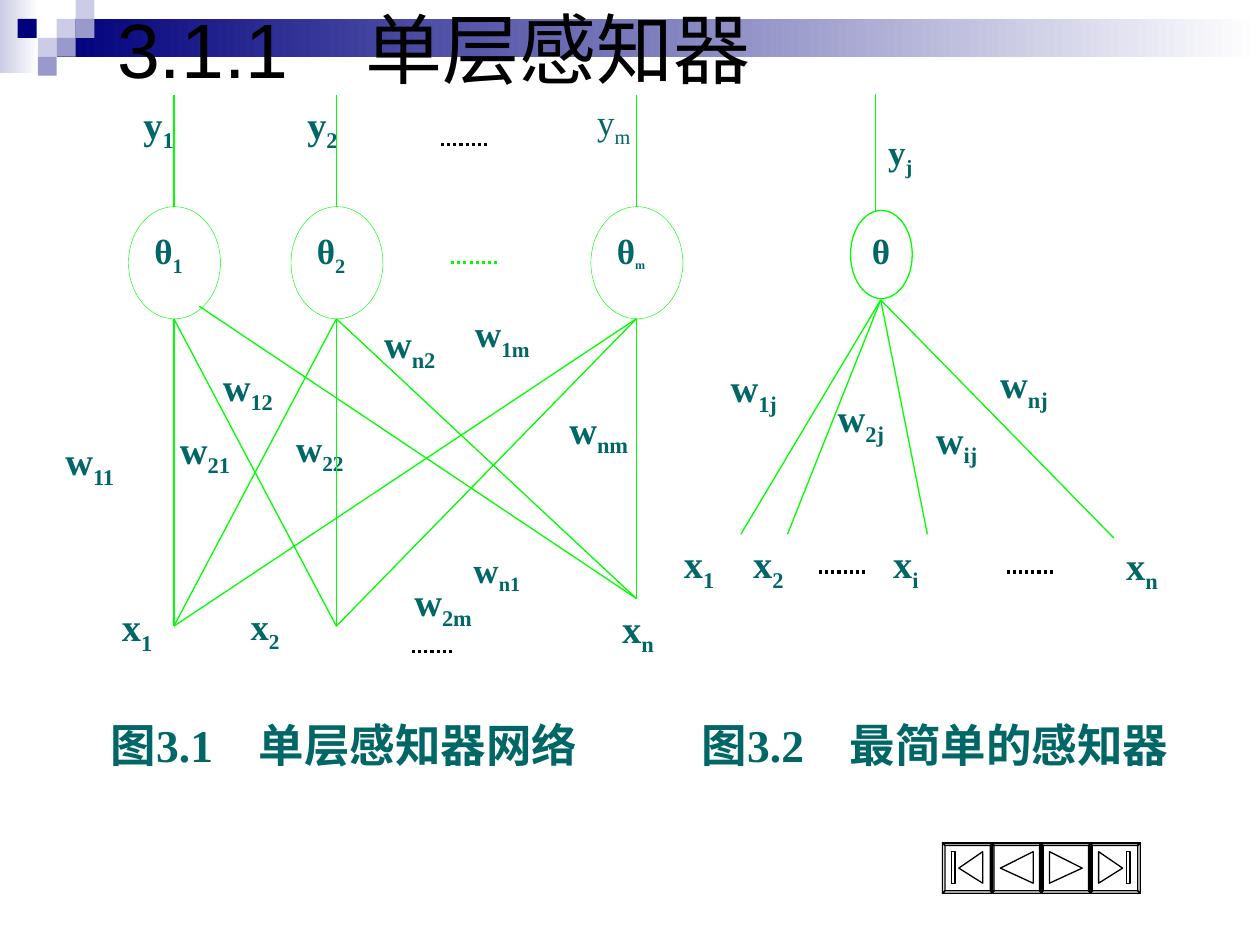
from dataclasses import dataclass
from itertools import product

from lxml.etree import SubElement
from pptx import Presentation
from pptx.dml.color import RGBColor as Rgb
from pptx.enum.dml import MSO_LINE as Dash
from pptx.enum.shapes import MSO_CONNECTOR as Conn, MSO_SHAPE as Kind
from pptx.enum.text import MSO_ANCHOR as Anchor, MSO_AUTO_SIZE as Fit, PP_ALIGN as Align
from pptx.oxml.ns import qn
from pptx.util import Pt

PX = 9144


@dataclass(frozen=True)
class Theme:
    """Colours, fonts and type sizes of the deck."""
    navy: str = "00007D"
    mid: str = "9999CC"
    pale: str = "CCCCE6"
    white: str = "FFFFFF"
    black: str = "000000"
    green: str = "00FF00"
    teal: str = "006666"
    serif: str = "Times New Roman"
    sans: str = "Arial"
    title: int = 44
    head: int = 26
    label: int = 22
    mark: int = 21
    node: int = 20
    tiny: int = 12


T = Theme()


def emu(*nums):
    """Turn px lengths into EMU."""
    return [n * PX for n in nums]


def paint(shape, fill=None, line=None, width=0.75):
    """Set the fill and outline of a shape."""
    shape.shadow.inherit = False
    if fill:
        shape.fill.solid()
        shape.fill.fore_color.rgb = Rgb.from_string(fill)
    else:
        shape.fill.background()
    if line:
        shape.line.color.rgb = Rgb.from_string(line)
        shape.line.width = Pt(width)
    else:
        shape.line.fill.background()
    return shape


def block(slide, box, fill, end=None):
    """Draw a rectangle, fading to a second colour if one is given."""
    shape = paint(slide.shapes.add_shape(Kind.RECTANGLE, *emu(*box)), fill)
    if end:
        shape.fill.gradient()
        shape.fill.gradient_angle = 0
        for stop, tone, pos in zip(shape.fill.gradient_stops, (fill, end), (0, 1)):
            stop.color.rgb = Rgb.from_string(tone)
            stop.position = pos


def write(shape, base, sub="", size=T.label, bold=True, small=None):
    """Put a term with an optional subscript into a shape."""
    frame = shape.text_frame
    frame.word_wrap = True
    frame.vertical_anchor = Anchor.TOP
    para = frame.paragraphs[0]
    para.alignment = Align.JUSTIFY
    font = para.font
    font.name, font.size, font.bold = T.serif, Pt(size), bold
    font.color.rgb = Rgb.from_string(T.teal)
    para.add_run().text = base
    if sub:
        run = para.add_run()
        run.text = sub
        run._r.get_or_add_rPr().set("baseline", "-25000")
        if small:
            run.font.size = Pt(small)


class Figure:
    """A diagram whose parts are placed from its top left corner."""

    def __init__(self, slide, left, top):
        """Keep the slide shapes and the corner."""
        self.shapes, self.left, self.top = slide.shapes, left, top

    def spot(self, x, y):
        """Give the EMU place of a point in the figure."""
        return emu(self.left + x, self.top + y)

    def line(self, start, end, tone=T.green, width=0.75):
        """Join two points."""
        link = self.shapes.add_connector(Conn.STRAIGHT, *self.spot(*start), *self.spot(*end))
        link.line.color.rgb = Rgb.from_string(tone)
        link.line.width = Pt(width)
        SubElement(link._element.spPr, qn("a:effectLst"))
        return link

    def dots(self, x, y, wide=37, tone=T.black):
        """Draw a dotted rule for the terms left out."""
        self.line((x, y), (x + wide, y), tone, 1.75).line.dash_style = Dash.ROUND_DOT

    def label(self, x, y, w, h, base, sub, size=T.label, bold=True):
        """Place a white label."""
        shape = self.shapes.add_shape(Kind.RECTANGLE, *self.spot(x, y), *emu(w, h))
        write(paint(shape, T.white), base, sub, size, bold)

    def node(self, x, y, w, h, sub="", width=0.75, small=None):
        """Place a neuron with its threshold."""
        shape = self.shapes.add_shape(Kind.OVAL, *self.spot(x, y), *emu(w, h))
        write(paint(shape, None, T.green, width), "θ", sub, T.node, True, small)

    def caption(self, x, y, w, h, text):
        """Place the figure caption."""
        write(self.shapes.add_textbox(*self.spot(x, y), *emu(w, h)), text, size=T.head)


def network(slide, left, top):
    """Draw the layer of neurons with all its weights."""
    fig = Figure(slide, left, top)
    for item in (
        (255, 174, 67, 42, "w", "n2"), (93, 258, 65, 67, "w", "21"),
        (185, 258, 61, 52, "w", "22", T.mark), (402, 242, 72, 42, "w", "nm"),
        (127, 208, 67, 50, "w", "12"), (2, 267, 67, 42, "w", "11"),
        (327, 167, 70, 46, "w", "1m", T.mark), (279, 379, 75, 51, "w", "2m"),
        (326, 355, 67, 49, "w", "n1", T.node), (444, 400, 66, 51, "x", "n"),
        (47, 399, 54, 51, "x", "1"), (149, 399, 45, 51, "x", "2", T.mark),
        (64, 0, 52, 89, "y", "1"), (194, 0, 52, 89, "y", "2"),
        (424, 0, 52, 89, "y", "m", T.node, False),
    ):
        fig.label(*item)
    cols = 98, 227, 465
    feet = list(zip(cols, (422, 422, 400)))
    for col, foot in product(cols, feet):
        skew = col == cols[0] and foot == feet[-1]
        fig.line((118, 168) if skew else (col, 178), foot)
    for col, sub, small in zip(cols, "12m", (None, None, T.tiny)):
        fig.node(col - 36, 89, 73, 89, sub, 0.25, small)
        fig.line((col, 89), (col, 0))
    fig.dots(310, 40)
    fig.dots(318, 133, tone=T.green)
    fig.dots(287, 442, 32)
    fig.caption(38, 489, 420, 70, "图3.1　单层感知器网络")


def single(slide, left, top):
    """Draw one neuron and its inputs."""
    fig = Figure(slide, left, top)
    for item in (
        (254, 206, 66, 54, "w", "nj"), (203, 250, 61, 49, "w", "ij"),
        (125, 233, 70, 51, "w", "2j"), (40, 209, 64, 49, "w", "1j"),
        (165, 24, 74, 70, "y", "j", T.node), (169, 349, 42, 51, "x", "i"),
        (3, 349, 51, 51, "x", "1"), (58, 349, 53, 43, "x", "2"),
        (354, 350, 57, 42, "x", "n"),
    ):
        fig.label(*item)
    fig.node(145, 92, 49, 70)
    fig.line((165, 93), (165, 0))
    for foot in ((58, 349), (95, 349), (206, 349), (354, 352)):
        fig.line((169, 163), foot)
    for x in (120, 269):
        fig.dots(x, 379)
    fig.caption(17, 489, 400, 70, "图3.2　最简单的感知器")


def header(slide):
    """Draw the fading bar and its mosaic of squares."""
    block(slide, (0, 0, 31, 58), T.pale, T.white)
    block(slide, (45, 15, 955, 30), T.navy, T.white)
    for x, y, tone in ((45, 15, T.pale), (60, 0, T.pale), (60, 15, T.mid), (30, 30, T.pale),
                       (14, 15, T.navy), (45, 30, T.mid), (30, 45, T.mid)):
        block(slide, (x, y, 15, 15), tone)


def button(slide, left, top, side, icon):
    """Draw a bevelled button with the outlines of its icon."""
    def ring(d):
        return [(d, d), (side - d, d), (side - d, side - d), (d, side - d)]

    out, inn = ring(0), ring(2)
    bevel = [(out[i - 1], out[i], inn[i], inn[i - 1]) for i in range(4)]
    pen = None
    for path in [out, *bevel, *icon]:
        pts = [(left + x, top + y) for x, y in path]
        if pen:
            pen.move_to(*pts[0])
        else:
            pen = slide.shapes.build_freeform(*pts[0], scale=PX)
        pen.add_line_segments(pts[1:], close=True)
    paint(pen.convert_to_shape(), T.white, T.black)


def controls(slide, left, top, side=39):
    """Draw the row of first, back, next and last buttons."""
    def arrow(tip, back):
        return [(tip, 20), (back, 7), (back, 32)]

    def bar(x):
        return [(x, 7), (x + 3, 7), (x + 3, 32), (x, 32)]

    icons = ([arrow(13, 32), bar(7)], [arrow(7, 33)], [arrow(33, 7)], [arrow(26, 7), bar(29)])
    for i, icon in enumerate(icons):
        button(slide, left + i * side, top, side + 1, icon)


def heading(slide, box, text):
    """Place the title in front of the header."""
    title = slide.shapes.title
    title.left, title.top, title.width, title.height = emu(*box)
    frame = title.text_frame
    frame.text = text
    frame.auto_size, frame.vertical_anchor = Fit.NONE, Anchor.MIDDLE
    para = frame.paragraphs[0]
    para.alignment = Align.LEFT
    para.font.name, para.font.size = T.sans, Pt(T.title)
    para.font.color.rgb = Rgb.from_string(T.black)
    slide.shapes.element.append(title.element)


def main():
    """Build and save the slide."""
    deck = Presentation()
    deck.slide_width, deck.slide_height = emu(1000, 750)
    slide = deck.slides.add_slide(deck.slide_layouts[5])
    header(slide)
    controls(slide, 748, 669)
    network(slide, 40, 75)
    single(slide, 530, 75)
    heading(slide, (83, 0, 850, 75), "3.1.1　单层感知器")
    deck.save("out.pptx")


if __name__ == "__main__":
    main()
